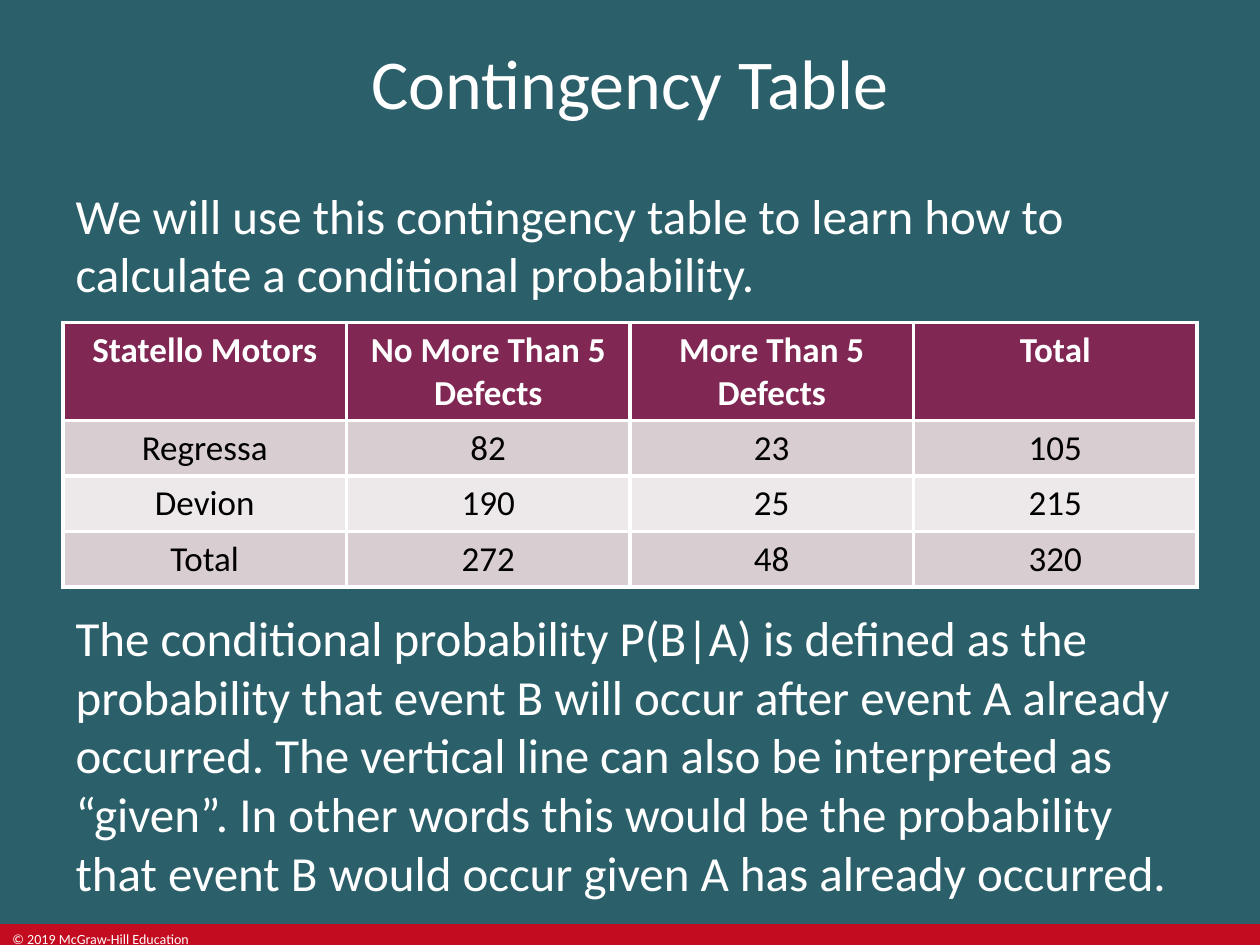
import pptx
import pptx.dml.color
import pptx.enum.shapes
import pptx.enum.text
import pptx.oxml
import pptx.oxml.ns
import pptx.util

Pt = pptx.util.Pt
ALIGN = pptx.enum.text.PP_ALIGN
ANCHOR = pptx.enum.text.MSO_ANCHOR

COLORS = {
    "background": "2B606A",
    "bar": "C30C20",
    "header": "802754",
    "odd_row": "D8CDD1",
    "even_row": "EDE8E9",
    "light": "FFFFFF",
    "dark": "000000",
}
TITLE = "Contingency Table"
INTRO = ("We will use this contingency table to learn how to calculate "
         "a conditional probability.")
DEFINITION = (
    "The conditional probability P(B|A) is defined as the probability that "
    "event B will occur after event A already occurred. The vertical line can "
    "also be interpreted as “given”. In other words this would be the "
    "probability that event B would occur given A has already occurred."
)
COPYRIGHT = "© 2019 McGraw-Hill Education"
DEFECTS = [
    ["Statello Motors", "No More Than 5 Defects", "More Than 5 Defects", "Total"],
    ["Regressa", "82", "23", "105"],
    ["Devion", "190", "25", "215"],
    ["Total", "272", "48", "320"],
]
MARGIN, WIDTH = 36, 648
HEADER_HEIGHT, ROW_HEIGHT = 56, 31.7
BORDER = 2.25


def rgb(name):
    return pptx.dml.color.RGBColor.from_string(COLORS[name])


def fill_solid(fill, color):
    fill.solid()
    fill.fore_color.rgb = rgb(color)


def write(tf, text, size, color="light", align=ALIGN.LEFT, bold=False):
    """Put one formatted paragraph in a text frame."""
    p = tf.paragraphs[0]
    p.text = text
    p.alignment = align
    p.space_before = Pt(0)
    font = p.runs[0].font
    formats = {"name": "Calibri", "size": Pt(size), "bold": bold}
    for key, value in formats.items():
        setattr(font, key, value)
    font.color.rgb = rgb(color)
    return p


def place(sp, left, top, width, height):
    box = {"left": left, "top": top, "width": width, "height": height}
    for key, value in box.items():
        setattr(sp, key, Pt(value))


def set_title(s, text):
    sp = s.shapes.title
    place(sp, 0, 0, 720, 93.6)
    sp.text_frame.vertical_anchor = ANCHOR.MIDDLE
    sp.text_frame.auto_size = pptx.enum.text.MSO_AUTO_SIZE.NONE
    write(sp.text_frame, text, 40, align=ALIGN.CENTER)


def set_body(sp, text, top, height):
    """Turn a body placeholder into a plain paragraph without a bullet."""
    place(sp, MARGIN, top, WIDTH, height)
    tf = sp.text_frame
    tf.auto_size = pptx.enum.text.MSO_AUTO_SIZE.NONE
    pPr = tf.paragraphs[0]._p.get_or_add_pPr()
    pPr.set("marL", "0")
    pPr.set("indent", "0")
    pPr.append(pptx.oxml.parse_xml(
        f"<a:buNone {pptx.oxml.ns.nsdecls('a')}/>"))
    write(tf, text, 28)


def add_footer(s, text):
    top, height = 528, 12
    bar = s.shapes.add_shape(pptx.enum.shapes.MSO_SHAPE.RECTANGLE,
                             Pt(0), Pt(top), Pt(720), Pt(height))
    bar.shadow.inherit = False
    fill_solid(bar.fill, "bar")
    bar.line.fill.background()
    sp = s.shapes.add_textbox(Pt(0), Pt(top), Pt(122.4), Pt(height))
    sp.text_frame.word_wrap = True
    write(sp.text_frame, text, 8)


def add_borders(cell):
    tcPr = cell._tc.get_or_add_tcPr()
    for side in ("lnL", "lnR", "lnT", "lnB"):
        tcPr.append(pptx.oxml.parse_xml(
            f'<a:{side} {pptx.oxml.ns.nsdecls("a")} w="{Pt(BORDER)}">'
            f'<a:solidFill><a:srgbClr val="{COLORS["light"]}"/></a:solidFill>'
            f'</a:{side}>'))


def add_data_table(s, data, top):
    heights = [HEADER_HEIGHT] + [ROW_HEIGHT] * (len(data) - 1)
    table = s.shapes.add_table(len(data), len(data[0]), Pt(MARGIN), Pt(top),
                               Pt(WIDTH), Pt(sum(heights))).table
    for i, (row, height) in enumerate(zip(data, heights)):
        table.rows[i].height = Pt(height)
        header = i == 0
        fill = "header" if header else "odd_row" if i % 2 else "even_row"
        for j, text in enumerate(row):
            cell = table.cell(i, j)
            add_borders(cell)
            fill_solid(cell.fill, fill)
            write(cell.text_frame, text, 20, "light" if header else "dark",
                  ALIGN.CENTER, header)


def main():
    prs = pptx.Presentation()
    prs.slide_width, prs.slide_height = Pt(720), Pt(540)
    s = prs.slides.add_slide(prs.slide_layouts.get_by_name("Two Content"))
    fill_solid(s.background.fill, "background")
    add_footer(s, COPYRIGHT)
    set_title(s, TITLE)
    set_body(s.placeholders[1], INTRO, 102.2, 185.8)
    add_data_table(s, DEFECTS, 184.3)
    set_body(s.placeholders[2], DEFINITION, 343.4, 172.8)
    prs.save("out.pptx")


if __name__ == "__main__":
    main()
